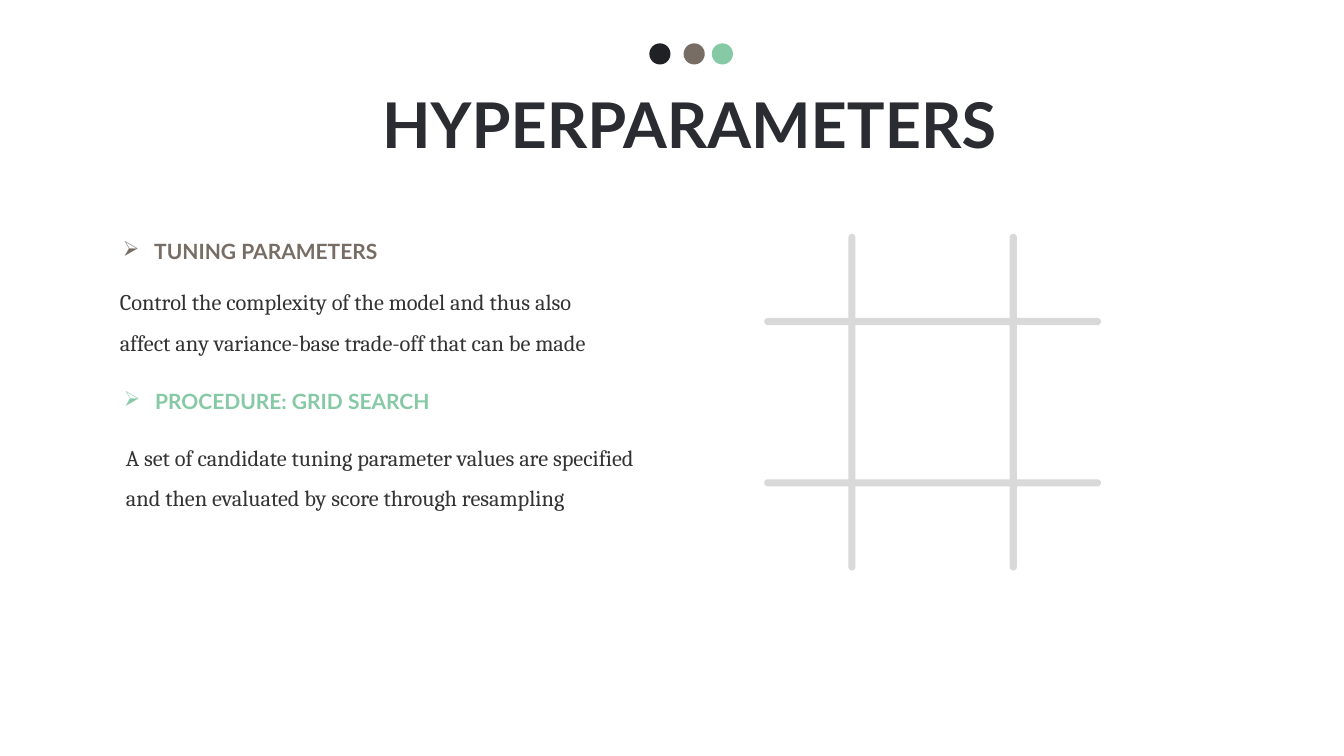
from dataclasses import dataclass
from math import cos, pi, sin

from lxml.etree import SubElement
from pptx import Presentation
from pptx.dml.color import RGBColor
from pptx.enum.shapes import MSO_SHAPE
from pptx.enum.text import MSO_ANCHOR, MSO_AUTO_SIZE, PP_ALIGN
from pptx.oxml.ns import qn
from pptx.util import Inches, Pt


@dataclass(frozen=True)
class Theme:
    ink: str = "2A2C31"
    black: str = "202125"
    brown: str = "776D64"
    green: str = "86C9A5"
    body: str = "333333"
    grid: str = "D9D9D9"
    head_font: str = "Lato"
    body_font: str = "Cambria"
    title_size: float = 45
    head_size: float = 15
    body_size: float = 16


@dataclass(frozen=True)
class Dot:
    left: float
    color: str


@dataclass(frozen=True)
class Topic:
    head: str
    color: str
    head_box: tuple[float, float, float, float]
    text: str
    text_box: tuple[float, float, float, float]
    indent: float = 0


THEME = Theme()
DOTS = [Dot(6.44, THEME.black), Dot(6.78, THEME.brown), Dot(7.06, THEME.green)]
TOPICS = [
    Topic("TUNING PARAMETERS", THEME.brown, (1.15, 2.35, 3.6, 0.3),
          "Control the complexity of the model and thus also affect any "
          "variance-base trade-off that can be made",
          (0.76, 2.68, 5.2, 0.87), indent=0.33),
    Topic("PROCEDURE: GRID SEARCH", THEME.green, (1.16, 3.84, 3.6, 0.3),
          "A set of candidate tuning parameter values are specified and then "
          "evaluated by score through resampling",
          (1.15, 4.22, 5.5, 0.87)),
]


def paint(shape, color: str) -> None:
    shape.shadow.inherit = False
    shape.fill.solid()
    shape.fill.fore_color.rgb = RGBColor.from_string(color)
    shape.line.fill.background()


def add_text(slide, text: str, box: tuple[float, float, float, float], *,
             font: str, size: float, color: str, bold: bool = False,
             spacing: float = 0.9, align: PP_ALIGN = PP_ALIGN.LEFT,
             inset: tuple[float, float, float, float] = (0.07, 0.04, 0.07, 0.04),
             indent: float = 0, bullet: str = "", grow: bool = True) -> None:
    frame = slide.shapes.add_textbox(*map(Inches, box)).text_frame
    frame.word_wrap = True
    frame.auto_size = MSO_AUTO_SIZE.SHAPE_TO_FIT_TEXT if grow else MSO_AUTO_SIZE.NONE
    frame.vertical_anchor = MSO_ANCHOR.TOP if grow else MSO_ANCHOR.MIDDLE
    (frame.margin_left, frame.margin_top,
     frame.margin_right, frame.margin_bottom) = map(Inches, inset)

    para = frame.paragraphs[0]
    props = para._p.get_or_add_pPr()
    props.set("marL", str(Inches(indent)))
    if bullet:
        props.set("indent", str(-Inches(indent)))
        SubElement(props, qn("a:buChar")).set("char", bullet)
    para.alignment = align
    para.line_spacing = spacing

    run = para.add_run()
    run.text = text
    run.font.name = font
    run.font.size = Pt(size)
    run.font.bold = bold
    run.font.color.rgb = RGBColor.from_string(color)


def add_grid(slide, mid_x: float, mid_y: float, reach: float,
             gap: float, bar: float) -> None:
    """Draw four crossed bars with round ends as one outline and its hole.

    Reach runs from the middle to a bar's tip, gap to a bar's centre line.
    """
    cap = bar / 2
    near, far = gap - cap, gap + cap

    def tip(x: float) -> list[tuple[float, float]]:
        angles = [pi + pi * step / 8 for step in range(9)]
        return [(x + cap * cos(a), cap - reach + cap * sin(a)) for a in angles]

    side = [(-far, -far), *tip(-gap), (-near, -far), (near, -far), *tip(gap)]
    outline = []
    for _ in range(4):
        outline += side
        side = [(-y, x) for x, y in side]
    hole = [(-near, -near), (-near, near), (near, near), (near, -near)]

    def place(points: list[tuple[float, float]]) -> list[tuple[int, int]]:
        return [(Inches(mid_x + x), Inches(mid_y + y)) for x, y in points]

    outer, inner = place(outline), place(hole)
    pen = slide.shapes.build_freeform(*outer[0])
    pen.add_line_segments(outer[1:], close=True)
    pen.move_to(*inner[0])
    pen.add_line_segments(inner[1:], close=True)
    paint(pen.convert_to_shape(), THEME.grid)


def add_dot(slide, dot: Dot) -> None:
    box = (dot.left, 0.43, 0.21, 0.21)
    paint(slide.shapes.add_shape(MSO_SHAPE.OVAL, *map(Inches, box)), dot.color)


def add_topic(slide, topic: Topic) -> None:
    add_text(slide, topic.head, topic.head_box, font=THEME.head_font,
             size=THEME.head_size, color=topic.color, bold=True,
             indent=0.31, bullet="➢")
    add_text(slide, topic.text, topic.text_box, font=THEME.body_font,
             size=THEME.body_size, color=THEME.body, spacing=1.5,
             inset=(0.1, 0.05, 0.1, 0.05), indent=topic.indent)


def main() -> None:
    deck = Presentation()
    deck.slide_width, deck.slide_height = Inches(13.33), Inches(7.5)
    slide = deck.slides.add_slide(deck.slide_layouts[6])
    add_grid(slide, mid_x=9.25, mid_y=3.99, reach=1.67, gap=0.8, bar=0.07)
    add_text(slide, "HYPERPARAMETERS", (3.19, 0.92, 7.36, 0.71),
             font=THEME.head_font, size=THEME.title_size, color=THEME.ink,
             bold=True, align=PP_ALIGN.CENTER, inset=(0, 0.04, 0.07, 0.04),
             grow=False)
    for dot in DOTS:
        add_dot(slide, dot)
    for topic in TOPICS:
        add_topic(slide, topic)
    deck.save("out.pptx")


if __name__ == "__main__":
    main()
